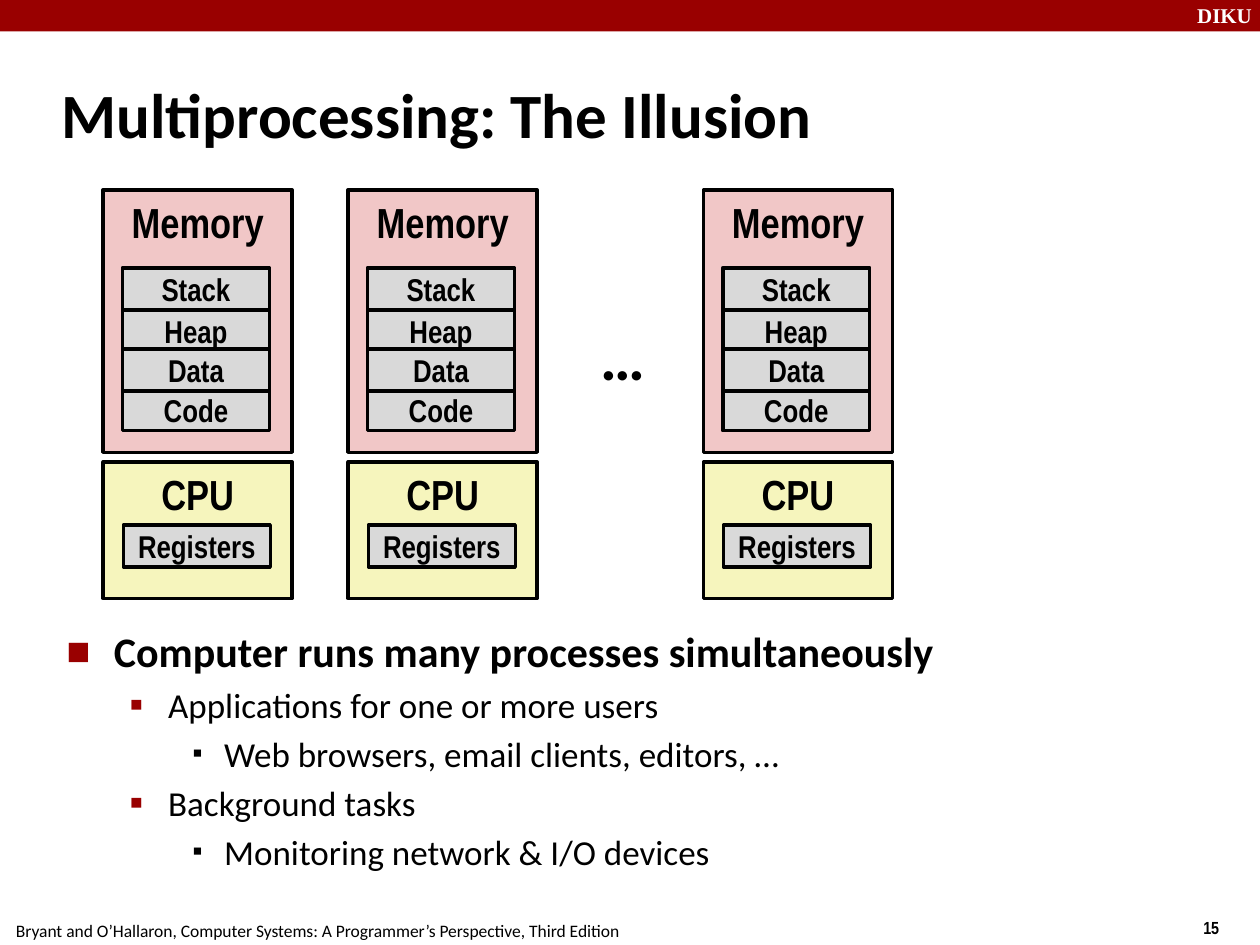
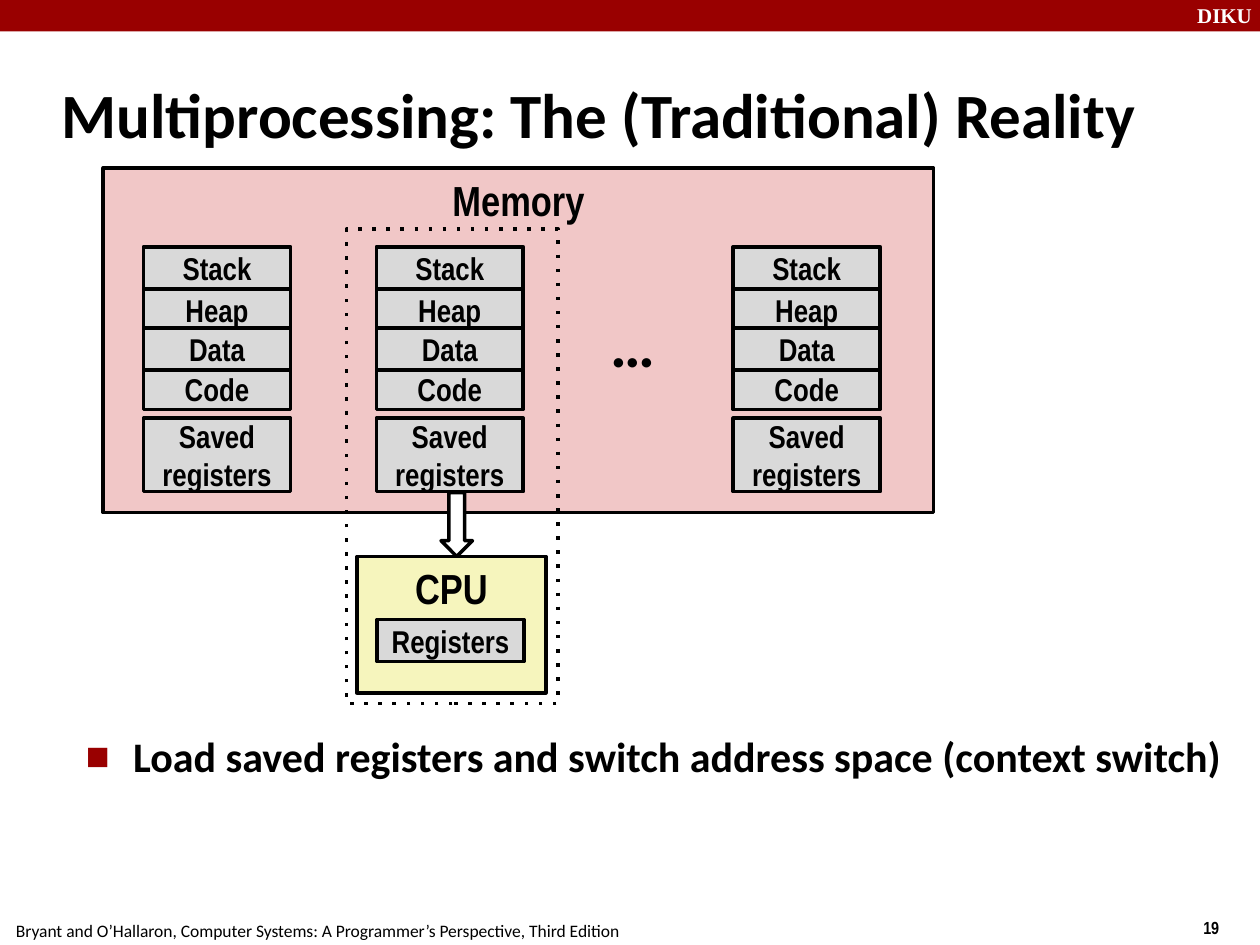
"""Build two slides on multiprocessing: the illusion and the traditional reality."""
from dataclasses import dataclass

from lxml import etree
from pptx import Presentation
from pptx.dml.color import RGBColor
from pptx.enum import shapes, text
from pptx.oxml.ns import qn
from pptx.util import Pt


@dataclass(frozen=True)
class Theme:
    """Colours, fonts and type sizes of the deck."""
    red: str = "990000"
    black: str = "000000"
    white: str = "FFFFFF"
    memory: str = "F1C7C7"
    cpu: str = "F6F5BD"
    cell: str = "D9D9D9"
    body: str = "Calibri"
    diagram: str = "Arial Narrow"
    band: str = "Times New Roman"
    title: int = 36
    heading: int = 24
    item: int = 20
    label: int = 18
    tag: int = 12
    small: int = 10
    line: int = 2


THEME = Theme()
FOOTER = "Bryant and O’Hallaron, Computer Systems: A Programmer’s Perspective, Third Edition"
SEGMENTS = {"Stack": 0, "Heap": 24, "Code": 69, "Data": 46.5}
CELL_WIDTH, CELL_HEIGHT = 84, 24
PROCESS_WIDTH, CPU_HEIGHT = 108, 78
LEVELS = [
    dict(margin=27, hang=27, before=4.8, mark="■", color=THEME.red, scale=60,
         size=THEME.heading, bold=True),
    dict(margin=58, hang=22, before=4, mark="▪", color=THEME.red, scale=110,
         size=THEME.item, bold=False),
    dict(margin=90, hang=18, before=4, mark="▪", color=THEME.black, scale=80,
         size=THEME.item, bold=False),
]


def apply(target, values):
    """Set each named attribute of the target."""
    for name, value in values.items():
        setattr(target, name, value)


def points(*lengths):
    """Turn numbers into point lengths."""
    return [Pt(length) for length in lengths]


def style(span, size, font=THEME.body, color=THEME.black, bold=True):
    """Format the font of a run."""
    apply(span.font, dict(size=Pt(size), name=font, bold=bold))
    span.font.color.rgb = RGBColor.from_string(color)


def add_text(page, box, words, size, **look):
    """Place one unwrapped line of text."""
    frame = page.shapes.add_textbox(*points(*box)).text_frame
    frame.word_wrap = False
    span = frame.paragraphs[0].add_run()
    span.text = words
    style(span, size, **look)


def add_block(page, box, fill=None, kind=shapes.MSO_SHAPE.RECTANGLE, outlined=True):
    """Draw a filled, outlined shape."""
    block = page.shapes.add_shape(kind, *points(*box))
    block.shadow.inherit = False
    if fill:
        block.fill.solid()
        block.fill.fore_color.rgb = RGBColor.from_string(fill)
    else:
        block.fill.background()
    if outlined:
        block.line.color.rgb = RGBColor.from_string(THEME.black)
        block.line.width = Pt(THEME.line)
    else:
        block.line.fill.background()
    return block


def add_labelled(page, box, words, fill, size=THEME.label, anchor=text.MSO_ANCHOR.MIDDLE):
    """Draw a diagram rectangle with a centred label."""
    frame = add_block(page, box, fill).text_frame
    apply(frame, dict(word_wrap=True, vertical_anchor=anchor))
    para = frame.paragraphs[0]
    para.alignment = text.PP_ALIGN.CENTER
    span = para.add_run()
    span.text = words
    style(span, size, THEME.diagram)


def add_container(page, box, words, fill):
    """Draw a large rectangle headed by its name."""
    add_labelled(page, box, words, fill, THEME.heading, text.MSO_ANCHOR.TOP)


def add_segments(page, left, top):
    """Stack the four memory segments of a process."""
    for name, offset in SEGMENTS.items():
        add_labelled(page, (left, top + offset, CELL_WIDTH, CELL_HEIGHT), name, THEME.cell)


def add_cpu(page, left, top):
    """Draw a CPU with its registers."""
    add_container(page, (left, top, PROCESS_WIDTH, CPU_HEIGHT), "CPU", THEME.cpu)
    add_labelled(page, (left + 11.5, top + 36, CELL_WIDTH, CELL_HEIGHT), "Registers", THEME.cell)


def add_process(page, left, top):
    """Draw a process with a memory and CPU of its own."""
    add_container(page, (left, top, PROCESS_WIDTH, 150), "Memory", THEME.memory)
    add_segments(page, left + 11, top + 44.5)
    add_cpu(page, left, top + 155.5)


def add_saved_process(page, left, top):
    """Draw the segments of a process above its saved registers."""
    add_segments(page, left, top)
    add_labelled(page, (left, top + 98, CELL_WIDTH, 42), "Saved registers", THEME.cell)


def add_dotted_frame(page, box):
    """Draw a dotted outline around the running process."""
    frame = add_block(page, box)
    outline = frame._element.spPr.find(qn("a:ln"))
    etree.SubElement(outline, qn("a:prstDash"), val="dot")


def add_bullets(page, box, items):
    """Place a bulleted list of (level, words) pairs."""
    frame = page.shapes.add_textbox(*points(*box)).text_frame
    frame.word_wrap = True
    for index, (level, words) in enumerate(items):
        para = frame.add_paragraph() if index else frame.paragraphs[0]
        look = LEVELS[level]
        apply(para, dict(level=level, space_before=Pt(look["before"])))
        props = para._p.get_or_add_pPr()
        props.set("marL", str(Pt(look["margin"])))
        props.set("indent", str(-Pt(look["hang"])))
        color = etree.SubElement(props, qn("a:buClr"))
        etree.SubElement(color, qn("a:srgbClr"), val=look["color"])
        etree.SubElement(props, qn("a:buSzPct"), val=str(look["scale"] * 1000))
        etree.SubElement(props, qn("a:buFont"), typeface=THEME.body)
        etree.SubElement(props, qn("a:buChar"), char=look["mark"])
        span = para.add_run()
        span.text = words
        style(span, look["size"], bold=look["bold"])


def add_page(deck, title, title_width, number):
    """Add a slide with its title, top band and footer."""
    page = deck.slides.add_slide(deck.slide_layouts[5])
    add_block(page, (0, 0, 720, 18), THEME.red, outlined=False)
    add_text(page, (677, -2, 48, 22), "DIKU", THEME.tag, font=THEME.band, color=THEME.white)
    add_text(page, (680.5, 520.5, 54, 21), number, THEME.small, font=THEME.diagram)
    add_text(page, (2, 522, 359, 19.5), FOOTER, THEME.small, bold=False)
    holder = page.shapes.title
    left, top, width, height = points(28, 34.5, title_width, 60)
    apply(holder, dict(left=left, top=top, width=width, height=height))
    frame = holder.text_frame
    apply(frame, dict(text=title, word_wrap=True, auto_size=text.MSO_AUTO_SIZE.NONE,
                      vertical_anchor=text.MSO_ANCHOR.MIDDLE))
    frame.paragraphs[0].alignment = text.PP_ALIGN.LEFT
    style(frame.paragraphs[0].runs[0], THEME.title)
    return page


def build_illusion(deck):
    """Build the slide where each process owns a machine."""
    page = add_page(deck, "Multiprocessing: The Illusion", 598, "15")
    add_bullets(page, (31, 354, 622, 155.5), [
        (0, "Computer runs many processes simultaneously"),
        (1, "Applications for one or more users"),
        (2, "Web browsers, email clients, editors, …"),
        (1, "Background tasks"),
        (2, "Monitoring network & I/O devices"),
    ])
    for left in (59, 199, 402):
        add_process(page, left, 108.5)
    add_text(page, (336, 178, 40, 50), "…", THEME.title)


def build_reality(deck):
    """Build the slide where processes share one CPU."""
    page = add_page(deck, "Multiprocessing: The (Traditional) Reality", 668, "19")
    add_bullets(page, (42, 414, 672, 42),
                [(0, "Load saved registers and switch address space (context switch)")])
    left, top = 59, 96
    add_container(page, (left, top, 474.5, 197), "Memory", THEME.memory)
    add_dotted_frame(page, (left + 139, top + 35, 121, 271))
    add_cpu(page, left + 145, top + 222)
    for offset in (23, 156, 360):
        add_saved_process(page, left + offset, top + 45)
    add_text(page, (342, 170.5, 40, 50), "…", THEME.title)
    add_block(page, (left + 193, top + 185.5, 18, 36.5), THEME.white,
              shapes.MSO_SHAPE.DOWN_ARROW)


def main():
    """Create and save the deck."""
    deck = Presentation()
    apply(deck, dict(slide_width=Pt(720), slide_height=Pt(540)))
    build_illusion(deck)
    build_reality(deck)
    deck.save("out.pptx")


if __name__ == "__main__":
    main()
